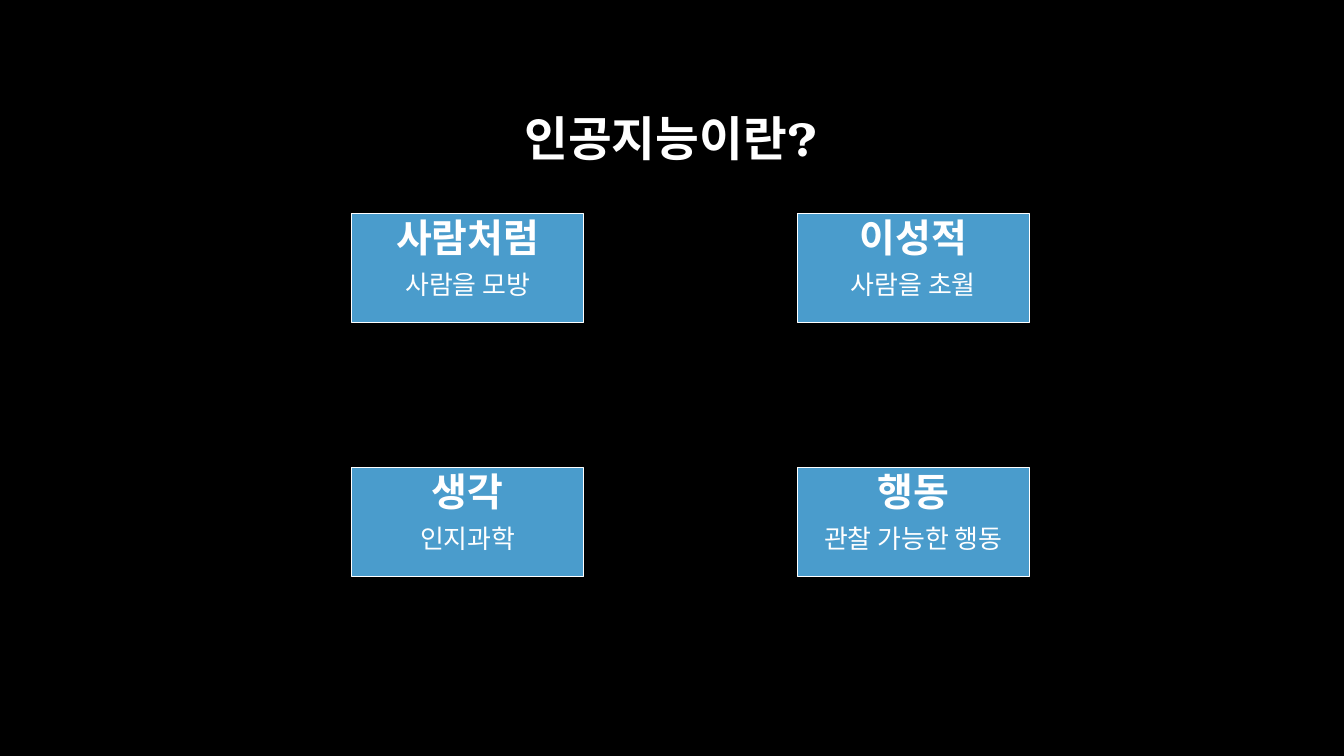
from dataclasses import dataclass

import pptx
import pptx.dml.color
import pptx.enum.shapes
import pptx.enum.text
import pptx.oxml
import pptx.oxml.ns
import pptx.shapes.autoshape
import pptx.util

Pt = pptx.util.Pt
RGBColor = pptx.dml.color.RGBColor

BLACK = RGBColor(0x00, 0x00, 0x00)
WHITE = RGBColor(0xFF, 0xFF, 0xFF)
BLUE = RGBColor(0x4A, 0x9C, 0xCC)
FONT = "TeX Gyre Bonum"

# Grid of concept boxes
GRID_LEFT, GRID_TOP = 251.28, 152.64
COLUMN_STEP, ROW_STEP = 318.24, 181.44
BOX_WIDTH, BOX_HEIGHT = 165.6, 77.76


@dataclass
class Concept:
    heading: str
    detail: str
    column: int
    row: int


CONCEPTS = [
    Concept("사람처럼", "사람을 모방", 0, 0),
    Concept("이성적", "사람을 초월", 1, 0),
    Concept("생각", "인지과학", 0, 1),
    Concept("행동", "관찰 가능한 행동", 1, 1),
]


def place(box: pptx.shapes.autoshape.Shape, left: float, top: float,
          width: float, height: float) -> None:
    box.left, box.top = Pt(left), Pt(top)
    box.width, box.height = Pt(width), Pt(height)


def write_lines(box: pptx.shapes.autoshape.Shape, lines: list[tuple[str, float, bool]],
                anchor: pptx.enum.text.MSO_ANCHOR, space_before: float) -> None:
    """Fill a box with centred (text, size, bold) paragraphs without bullets."""
    frame = box.text_frame
    frame.word_wrap = True
    frame.auto_size = pptx.enum.text.MSO_AUTO_SIZE.NONE
    frame.vertical_anchor = anchor
    frame.text = "\n".join(text for text, _, _ in lines)
    for para, (_, size, bold) in zip(frame.paragraphs, lines):
        properties = para._p.get_or_add_pPr()
        properties.set("marL", "0")
        properties.set("indent", "0")
        properties.append(pptx.oxml.parse_xml(
            f"<a:buNone {pptx.oxml.ns.nsdecls('a')}/>"))
        para.alignment = pptx.enum.text.PP_ALIGN.CENTER
        para.line_spacing = 0.9
        para.space_before = Pt(space_before)
        para.font.name = FONT
        para.font.size = Pt(size)
        para.font.bold = bold
        para.font.color.rgb = WHITE


def draw_concept(box: pptx.shapes.autoshape.Shape, concept: Concept) -> None:
    place(box, GRID_LEFT + concept.column * COLUMN_STEP,
          GRID_TOP + concept.row * ROW_STEP, BOX_WIDTH, BOX_HEIGHT)
    box.shadow.inherit = False
    box.fill.solid()
    box.fill.fore_color.rgb = BLUE
    box.line.color.rgb = WHITE
    box.line.width = Pt(0.75)
    write_lines(box, [(concept.heading, 27.8, True), (concept.detail, 18.5, False)],
                pptx.enum.text.MSO_ANCHOR.TOP, 8)


def main() -> None:
    deck = pptx.Presentation()
    deck.slide_width, deck.slide_height = Pt(960), Pt(540)
    page = deck.slides.add_slide(deck.slide_layouts[1])
    page.background.fill.solid()
    page.background.fill.fore_color.rgb = BLACK

    # Title
    title = page.shapes.title
    place(title, 72, 48.24, 815.04, 104.4)
    write_lines(title, [("인공지능이란?", 34, True)],
                pptx.enum.text.MSO_ANCHOR.MIDDLE, 0)

    # Concepts: the first one fills the body placeholder
    draw_concept(page.placeholders[1], CONCEPTS[0])
    for concept in CONCEPTS[1:]:
        box = page.shapes.add_shape(
            pptx.enum.shapes.MSO_SHAPE.RECTANGLE, 0, 0, Pt(BOX_WIDTH), Pt(BOX_HEIGHT))
        draw_concept(box, concept)

    deck.save("out.pptx")


if __name__ == "__main__":
    main()
